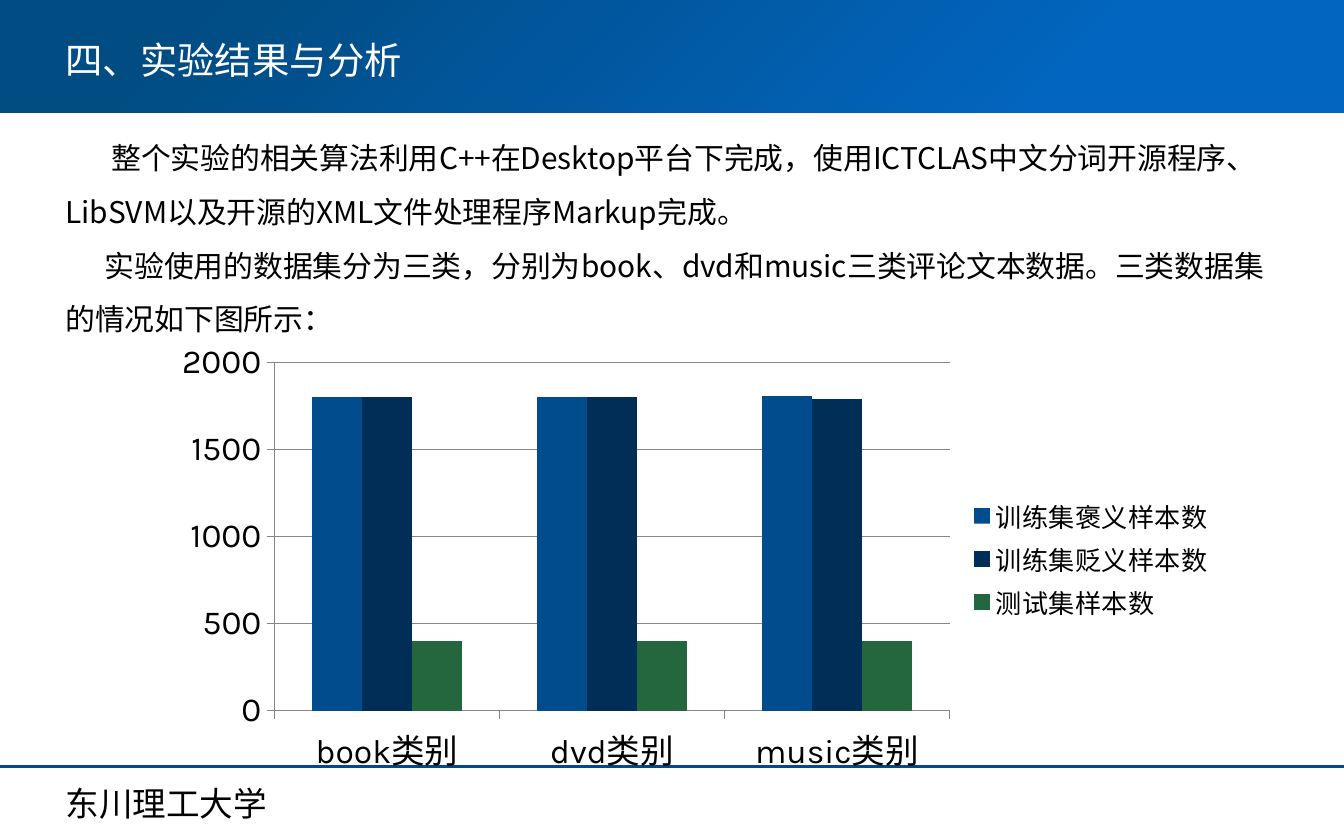
from lxml import etree
from pptx import Presentation
from pptx.chart.data import CategoryChartData
from pptx.dml.color import RGBColor
from pptx.enum.chart import XL_CHART_TYPE, XL_LEGEND_POSITION, XL_TICK_MARK
from pptx.enum.shapes import MSO_CONNECTOR, MSO_SHAPE
from pptx.enum.text import MSO_ANCHOR
from pptx.oxml import parse_xml
from pptx.oxml.ns import nsdecls, qn
from pptx.util import Pt

BLACK = RGBColor(0, 0, 0)
WHITE = RGBColor(255, 255, 255)
GRAY = RGBColor(0x87, 0x87, 0x87)
RULE = RGBColor(0x00, 0x4A, 0x8B)
BLUE = RGBColor(0x01, 0x4C, 0x8D)
NAVY = RGBColor(0x01, 0x2E, 0x57)
GREEN = RGBColor(0x24, 0x67, 0x3E)
LATIN, HAN = "Karla", "Noto Sans CJK SC"
COLUMN = XL_CHART_TYPE.COLUMN_CLUSTERED
RIGHT = XL_LEGEND_POSITION.RIGHT
OUT = XL_TICK_MARK.OUTSIDE
TOP, MIDDLE = MSO_ANCHOR.TOP, MSO_ANCHOR.MIDDLE

deck = Presentation()
deck.slide_width, deck.slide_height = Pt(720), Pt(450)
slide = deck.slides.add_slide(deck.slide_layouts[6])
shapes = slide.shapes


def add_text(box, lines, size, font, color, anchor=TOP):
    frame = shapes.add_textbox(*map(Pt, box)).text_frame
    frame.word_wrap = True
    frame.vertical_anchor = anchor
    for i, line in enumerate(lines):
        para = frame.paragraphs[0] if i == 0 else frame.add_paragraph()
        run = para.add_run()
        run.text = line
        run.font.size = Pt(size)
        run.font.name = font
        run.font.color.rgb = color
        east = etree.SubElement(run.font._element, qn("a:ea"))
        east.set("typeface", HAN)
    return frame


# Header band with a radial gradient
band = shapes.add_shape(MSO_SHAPE.RECTANGLE, Pt(0), Pt(-2), Pt(720), Pt(62.5))
band.shadow.inherit = False
band.line.fill.background()
band.fill.background()
blank = band._element.spPr.find(qn("a:noFill"))
blank.getparent().replace(blank, parse_xml(
    f'<a:gradFill {nsdecls("a")} rotWithShape="1"><a:gsLst>'
    '<a:gs pos="21000"><a:srgbClr val="0265BF"/></a:gs>'
    '<a:gs pos="86000"><a:srgbClr val="014C83"/></a:gs></a:gsLst>'
    '<a:path path="circle"><a:fillToRect l="100000" t="100000"/></a:path>'
    '</a:gradFill>'))

# Footer
rule = shapes.add_connector(MSO_CONNECTOR.STRAIGHT, Pt(0), Pt(410.5), Pt(720), Pt(410.5))
rule.line.color.rgb = RULE
rule.line.width = Pt(1.5)
etree.SubElement(rule._element.spPr, qn("a:effectLst"))
add_text((28, 416, 126, 29), ["东川理工大学"], 18, HAN, BLACK)

# Title and body
add_text((28, 16.5, 225, 32), ["四、实验结果与分析"], 20, LATIN, WHITE)
body = add_text((28, 61, 664, 124), [
    " 整个实验的相关算法利用C++在Desktop平台下完成，使用ICTCLAS中文分词开源程序、"
    "LibSVM以及开源的XML文件处理程序Markup完成。",
    "实验使用的数据集分为三类，分别为book、dvd和music三类评论文本数据。"
    "三类数据集的情况如下图所示：",
], 16, HAN, BLACK, MIDDLE)
for para in body.paragraphs:
    para.line_spacing = 1.5
    para._p.get_or_add_pPr().set("indent", str(Pt(21)))

# Chart
rows = [
    ("训练集褒义样本数", (1800, 1800, 1810), BLUE),
    ("训练集贬义样本数", (1800, 1800, 1790), NAVY),
    ("测试集样本数", (400, 400, 400), GREEN),
]
data = CategoryChartData()
data.categories = [name + "类别" for name in ("book", "dvd", "music")]
for name, vals, color in rows:
    data.add_series(name, vals)
chart = shapes.add_chart(COLUMN, Pt(84), Pt(180), Pt(574), Pt(239), data).chart
chart.has_title = False
chart.font.size = Pt(18)
chart.font.name = LATIN
chart.font.color.rgb = BLACK
plot = chart.plots[0]
plot.vary_by_categories = False
plot.gap_width = 150
plot.overlap = 0
for bars, (name, vals, color) in zip(plot.series, rows):
    bars.format.fill.solid()
    bars.format.fill.fore_color.rgb = color

# Axes
scale = chart.value_axis
scale.minimum_scale, scale.maximum_scale, scale.major_unit = 0, 2000, 500
scale.has_major_gridlines = True
for axis in (scale, chart.category_axis):
    axis.major_tick_mark = OUT
    axis.format.line.color.rgb = GRAY
scale.major_gridlines.format.line.color.rgb = GRAY

# Legend
chart.has_legend = True
key = chart.legend
key.position = RIGHT
key.include_in_layout = False
key.font.size = Pt(14)
key.font.name = HAN
key.font.color.rgb = BLACK

# Plot area, as shares of the chart
area = chart._chartSpace.chart.plotArea
for old in area.findall(qn("c:layout")):
    area.remove(old)
spots = "".join(f'<c:{tag} val="{val}"/>' for tag, val in
                (("x", 0.11), ("y", 0.06), ("w", 0.63), ("h", 0.78)))
area.insert(0, parse_xml(
    f'<c:layout {nsdecls("c")}><c:manualLayout><c:layoutTarget val="inner"/>'
    f'<c:xMode val="edge"/><c:yMode val="edge"/>{spots}</c:manualLayout></c:layout>'))

deck.save("out.pptx")
